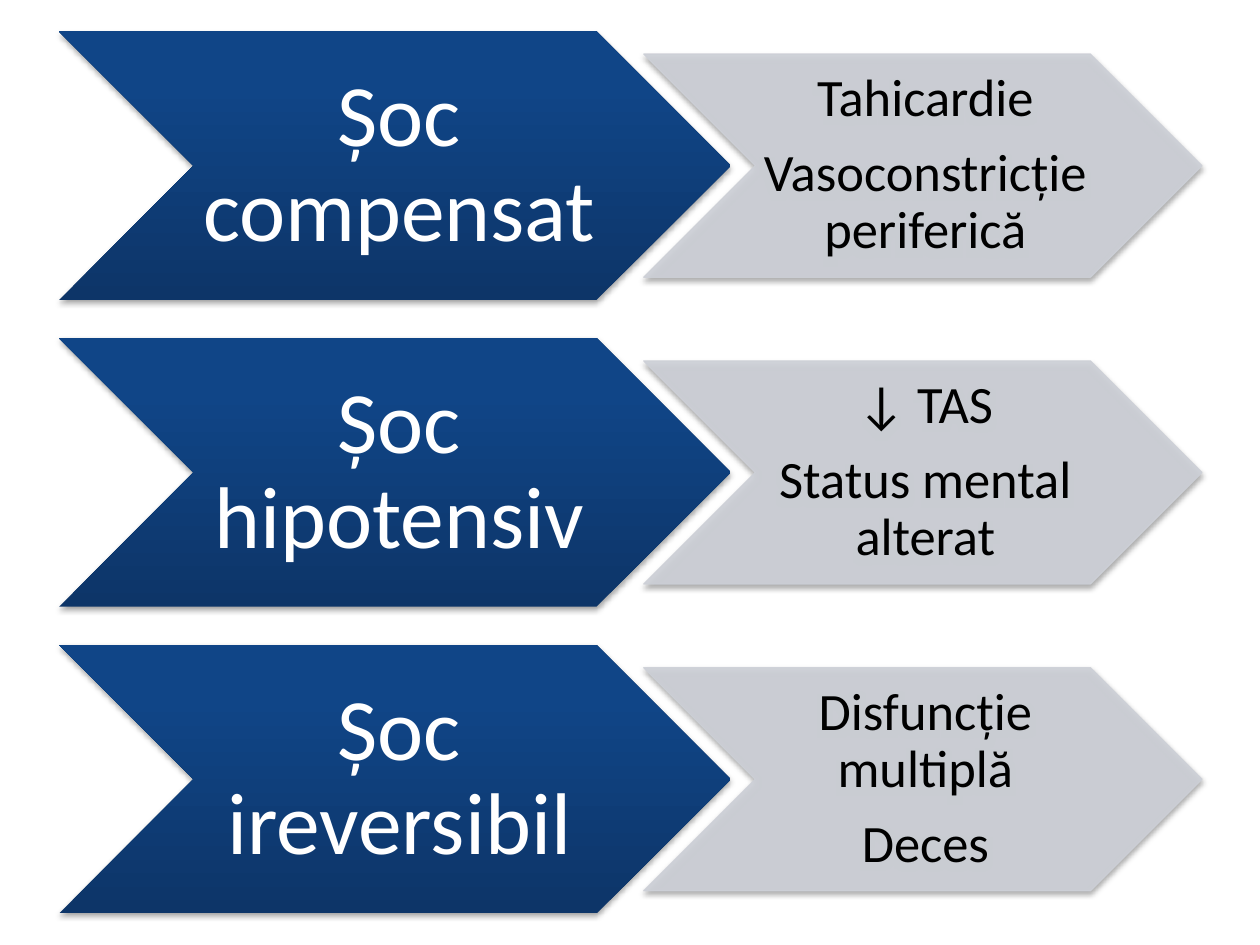
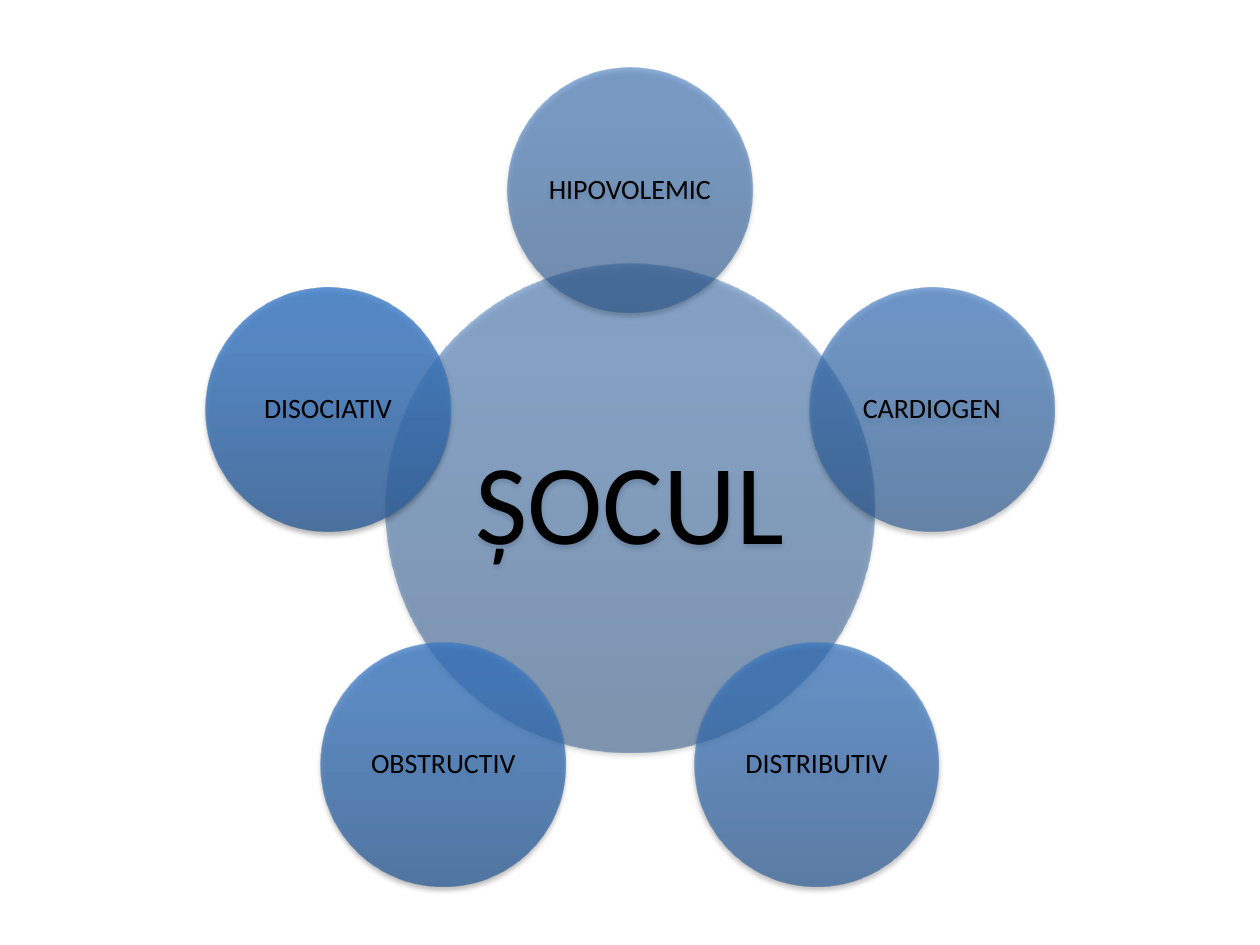
from math import cos, radians, sin

from pptx import Presentation
from pptx.dml.color import RGBColor
from pptx.enum.shapes import MSO_SHAPE as SHAPE
from pptx.enum.text import MSO_ANCHOR as ANCHOR, PP_ALIGN as ALIGN
from pptx.oxml.ns import qn
from pptx.util import Inches, Pt
from lxml.etree import SubElement

COLORS = {
    "white": "FFFFFF", "black": "000000", "silver": "CDD0D7",
    "navy_dark": "0D3568", "navy_mid": "104587", "navy_light": "0E458A",
    "core_dark": "2A568B", "core_mid": "3770B5", "core_light": "3570B8",
    "type1_dark": "2A588F", "type1_mid": "3772BA", "type1_light": "3573BD",
    "type2_dark": "2A5A93", "type2_mid": "3775BF", "type2_light": "3475C3",
    "type3_dark": "2C5C96", "type3_mid": "3977C2", "type3_light": "3678C6",
    "type4_dark": "2E5E97", "type4_mid": "3C7AC4", "type4_light": "397AC8",
    "type5_dark": "306099", "type5_mid": "3E7CC7", "type5_light": "3C7DCA",
}
FONT = "Calibri"
STAGES = [
    ("Șoc compensat", ["Tahicardie", "Vasoconstricție periferică"]),
    ("Șoc hipotensiv", ["↓ TAS", "Status mental alterat"]),
    ("Șoc ireversibil", ["Disfuncție multiplă", "Deces"]),
]
SHOCK_TYPES = ["HIPOVOLEMIC", "CARDIOGEN", "DISTRIBUTIV", "OBSTRUCTIV", "DISOCIATIV"]


def rgb(name):
    return RGBColor.from_string(COLORS[name])


def add_color(parent, name, alpha):
    clr = SubElement(parent, qn("a:srgbClr"), val=COLORS[name])
    SubElement(clr, qn("a:alpha"), val=str(alpha * 1000))


def fill_gradient(sp, tone, alpha):
    sp.fill.gradient()
    sp.fill.gradient_angle = 90
    stops = sp._element.spPr.find(f".//{qn('a:gsLst')}")
    stops.clear()
    for pos, shade in ((0, "dark"), (80, "mid"), (100, "light")):
        stop = SubElement(stops, qn("a:gs"), pos=str(pos * 1000))
        add_color(stop, f"{tone}_{shade}", alpha)
    sp.line.fill.background()


def fill_solid(sp, name, alpha):
    sp.fill.solid()
    sp.fill.fore_color.rgb = rgb(name)
    sp.line.color.rgb = rgb(name)
    sp.line.width = Pt(0.75)
    for clr in sp._element.spPr.iter(qn("a:srgbClr")):
        SubElement(clr, qn("a:alpha"), val=str(alpha * 1000))


def add_shadow(sp):
    sp.shadow.inherit = False
    effects = sp._element.spPr.find(qn("a:effectLst"))
    shadow = SubElement(effects, qn("a:outerShdw"), blurRad=str(Pt(3.1)),
                        dist=str(Pt(1.8)), dir="5400000", rotWithShape="0")
    add_color(shadow, "black", 35)


def write(sp, lines, size, color, insets):
    tf = sp.text_frame
    left, top, right, bottom = map(Inches, insets)
    frame = {"word_wrap": True, "vertical_anchor": ANCHOR.MIDDLE,
             "margin_left": left, "margin_top": top,
             "margin_right": right, "margin_bottom": bottom}
    for key, value in frame.items():
        setattr(tf, key, value)
    for i, line in enumerate(lines):
        p = tf.paragraphs[0] if i == 0 else tf.add_paragraph()
        layout = {"alignment": ALIGN.CENTER, "line_spacing": 0.9,
                  "space_after": Pt(0.35 * size)}
        for key, value in layout.items():
            setattr(p, key, value)
        r = p.add_run()
        r.text = line
        for key, value in {"name": FONT, "size": Pt(size)}.items():
            setattr(r.font, key, value)
        r.font.color.rgb = rgb(color)


def add_chevron(s, x, y, w, h):
    return s.shapes.add_shape(SHAPE.CHEVRON, *map(Inches, (x, y, w, h)))


def add_circle(s, cx, cy, d):
    return s.shapes.add_shape(SHAPE.OVAL, Inches(cx - d / 2), Inches(cy - d / 2),
                              Inches(d), Inches(d))


def add_stage(s, x, y, h, stage, signs):
    main = add_chevron(s, x, y, 5.33, h)
    fill_gradient(main, "navy", 100)
    add_shadow(main)
    write(main, [stage], 50, "white", (0.07, 0.03, 0, 0.03))

    detail_h = 1.77
    detail = add_chevron(s, x + 4.64, y + (h - detail_h) / 2, 4.43, detail_h)
    fill_solid(detail, "silver", 90)
    add_shadow(detail)
    write(detail, signs, 30, "black", (0.04, 0.02, 0, 0.02))


def build_stages(s, x, y, height):
    row_h = 2.13
    pitch = (height - row_h) / (len(STAGES) - 1)
    for i, (stage, signs) in enumerate(STAGES):
        add_stage(s, x, y + i * pitch, row_h, stage, signs)


def build_shock_types(s, cx, cy, orbit):
    core = add_circle(s, cx, cy, 3.88)
    fill_gradient(core, "core", 50)
    add_shadow(core)
    write(core, ["ȘOCUL"], 65, "black", [0.09] * 4)
    for i, label in enumerate(SHOCK_TYPES):
        angle = radians(i * 360 / len(SHOCK_TYPES))
        circle = add_circle(s, cx + orbit * sin(angle), cy - orbit * cos(angle), 1.94)
        fill_gradient(circle, f"type{i + 1}", 56 + 6 * i)
        add_shadow(circle)
        write(circle, [label], 16, "black", [0.02] * 4)


def add_slide(prs):
    s = prs.slides.add_slide(prs.slide_layouts[6])
    s.background.fill.solid()
    s.background.fill.fore_color.rgb = rgb("white")
    return s


def main():
    prs = Presentation()
    prs.slide_width, prs.slide_height = Inches(10), Inches(7.5)
    build_stages(add_slide(prs), 0.47, 0.25, 7)
    build_shock_types(add_slide(prs), 5, 4.03, 2.52)
    prs.save("out.pptx")


if __name__ == "__main__":
    main()
